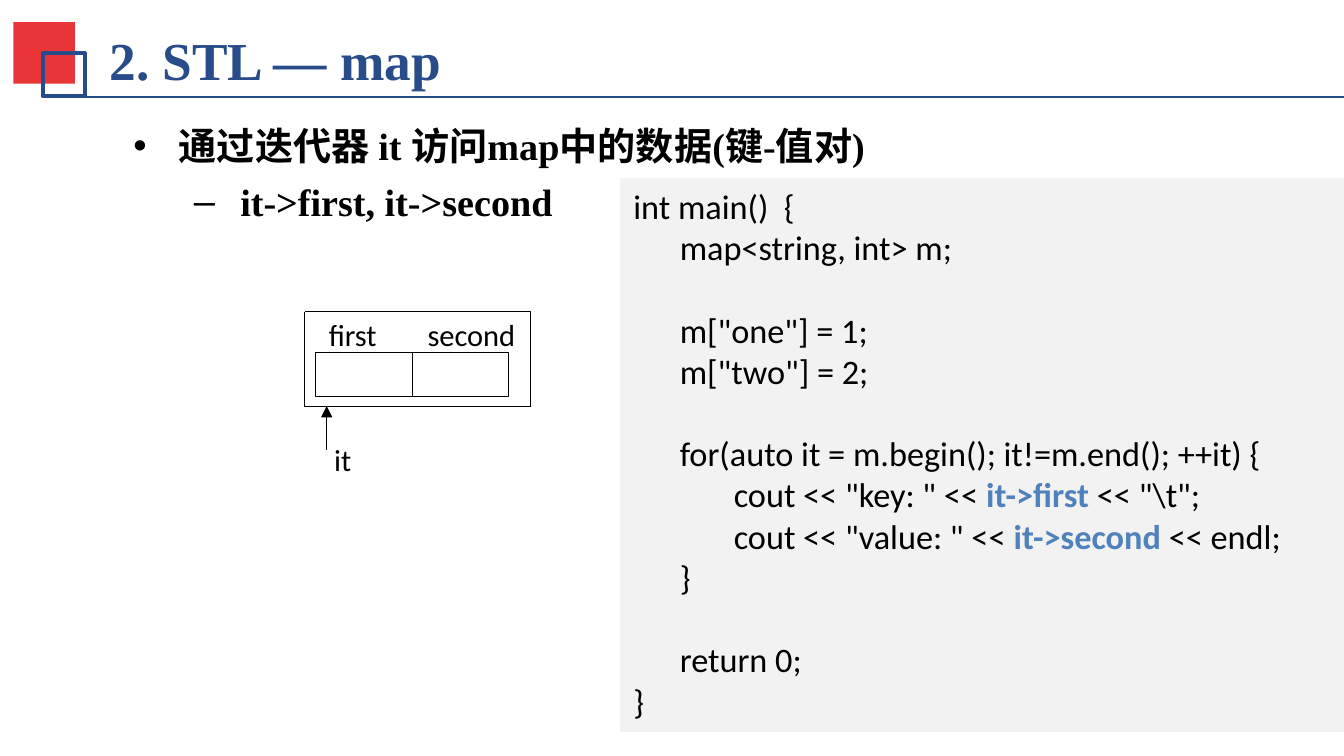
from pptx import Presentation
from pptx.dml.color import RGBColor
from pptx.enum.dml import MSO_LINE
from pptx.enum.shapes import MSO_CONNECTOR, MSO_SHAPE
from pptx.enum.text import MSO_ANCHOR, MSO_AUTO_SIZE, PP_ALIGN
from pptx.oxml.ns import qn
from pptx.util import Cm, Pt
from lxml.etree import SubElement

# Content
TITLE = "2. STL — map"
# text, level, left margin and hanging indent in cm
BULLETS = [
    ("通过迭代器 it 访问map中的数据(键-值对)", 0, 0.84, 0.84),
    ("it->first, it->second", 1, 1.98, 0.86),
]
# nesting depth, blank lines above, spans as (text, highlighted)
CODE = [
    (0, 0, [("int main()  {", False)]),
    (1, 0, [("map<string, int> m;", False)]),
    (1, 1, [('m["one"] = 1;', False)]),
    (1, 0, [('m["two"] = 2;', False)]),
    (1, 1, [("for(auto it = m.begin(); it!=m.end(); ++it) {", False)]),
    (2, 0, [('cout << "key: " << ', False), ("it->first ", True), ('<< "\\t";', False)]),
    (2, 0, [('cout << "value: " << ', False), ("it->second ", True), ("<< endl;", False)]),
    (1, 0, [("}", False)]),
    (1, 1, [("return 0;", False)]),
    (0, 0, [("}", False)]),
]
CODE_INDENTS = [0, 0.86, 1.86]
CODE_LINE = 21.8
# field name, label left and width in cm
PAIR_FIELDS = [("first", 5.84, 1.6), ("second", 7.67, 2.3)]

SERIF, SANS = "Times New Roman", "Calibri"
BLACK, NAVY, RED, GREY, BLUE = "000000", "284C8A", "E93538", "F2F2F2", "4F81BD"
WIDTH, HEIGHT = 24.89, 14

deck = Presentation()
deck.slide_width, deck.slide_height = Cm(WIDTH), Cm(HEIGHT)
page = deck.slides.add_slide(deck.slide_layouts[1])


def color(value):
    return RGBColor.from_string(value)


def style(font, name, size, value, bold=False):
    font.name, font.size, font.bold = name, Pt(size), bold
    font.color.rgb = color(value)


def place(shape, left, top, width, height):
    shape.left, shape.top = Cm(left), Cm(top)
    shape.width, shape.height = Cm(width), Cm(height)


def set_indent(para, margin, hanging=0):
    properties = para._p.get_or_add_pPr()
    properties.set("marL", str(Cm(margin)))
    properties.set("indent", str(-Cm(hanging)))


def add_box(left, top, width, height, fill=None, line=None, weight=0.25):
    box = page.shapes.add_shape(
        MSO_SHAPE.RECTANGLE, Cm(left), Cm(top), Cm(width), Cm(height))
    box.shadow.inherit = False
    if fill:
        box.fill.solid()
        box.fill.fore_color.rgb = color(fill)
    else:
        box.fill.background()
    if line:
        box.line.color.rgb = color(line)
        box.line.width = Pt(weight)
    else:
        box.line.fill.background()
    return box


def add_line(start, end, value):
    line = page.shapes.add_connector(
        MSO_CONNECTOR.STRAIGHT, *(Cm(length) for length in start + end))
    line.line.color.rgb = color(value)
    line.line.width = Pt(0.75)
    SubElement(line._element.spPr, qn("a:effectLst"))
    return line


def add_label(text, left, top, width):
    label = page.shapes.add_textbox(Cm(left), Cm(top), Cm(width), Cm(0.94))
    label.text_frame.word_wrap = True
    para = label.text_frame.paragraphs[0]
    para.text = text
    style(para.font, SANS, 16, BLACK)


# Title
title = page.shapes.title
place(title, 1.85, 0.41, 17.55, 1.4)
frame = title.text_frame
frame.text = TITLE
frame.auto_size = MSO_AUTO_SIZE.NONE
frame.vertical_anchor = MSO_ANCHOR.TOP
frame.margin_left = frame.margin_right = Cm(0.18)
frame.margin_top = frame.margin_bottom = Cm(0.1)
frame.paragraphs[0].alignment = PP_ALIGN.LEFT
style(frame.paragraphs[0].font, SERIF, 28, NAVY, True)

# Title ornament and rule
add_box(0.25, 0.41, 1.14, 1.14, fill=RED)
add_box(0.79, 0.99, 0.79, 0.79, line=NAVY, weight=2)
add_line((0.97, 1.8), (WIDTH, 1.8), NAVY)

# Bullet list
body = page.placeholders[1]
place(body, 2.24, 2.13, 19.2, 2.29)
frame = body.text_frame
frame.auto_size = MSO_AUTO_SIZE.NONE
frame.margin_left = frame.margin_right = Cm(0.23)
frame.margin_top = frame.margin_bottom = Cm(0.1)
for number, (text, level, margin, hanging) in enumerate(BULLETS):
    para = frame.add_paragraph() if number else frame.paragraphs[0]
    para.text, para.level = text, level
    para.alignment, para.line_spacing = PP_ALIGN.JUSTIFY, 1.05
    set_indent(para, margin, hanging)
    style(para.font, SERIF, 20, BLACK, True)

# Code panel
panel = add_box(11.48, 3.3, 13.41, 10.26, fill=GREY)
frame = panel.text_frame
frame.word_wrap = True
frame.vertical_anchor = MSO_ANCHOR.TOP
for number, (depth, gap, spans) in enumerate(CODE):
    para = frame.add_paragraph() if number else frame.paragraphs[0]
    para.alignment = PP_ALIGN.LEFT
    para.space_before = Pt(gap * CODE_LINE)
    set_indent(para, CODE_INDENTS[depth])
    style(para.font, SANS, 18, BLACK)
    for text, highlighted in spans:
        span = para.add_run()
        span.text = text
        if highlighted:
            span.font.bold = True
            span.font.color.rgb = color(BLUE)

# Key-value pair with its iterator
PAIR_LEFT, CELL_WIDTH = 5.84, 1.79
for number, (field, label_left, label_width) in enumerate(PAIR_FIELDS):
    add_box(PAIR_LEFT + number * CELL_WIDTH, 6.53, CELL_WIDTH, 0.81, line=BLACK)
    add_label(field, label_left, 5.72, label_width)
pair = add_box(5.64, 5.77, 4.19, 1.75, line=BLACK)
pair.line.dash_style = MSO_LINE.ROUND_DOT
add_label("it", 5.94, 8.05, 0.99)
arrow = add_line((6.05, 8.33), (6.05, 7.52), BLACK)
SubElement(arrow.line._get_or_add_ln(), qn("a:tailEnd"), type="triangle")

deck.save("out.pptx")
